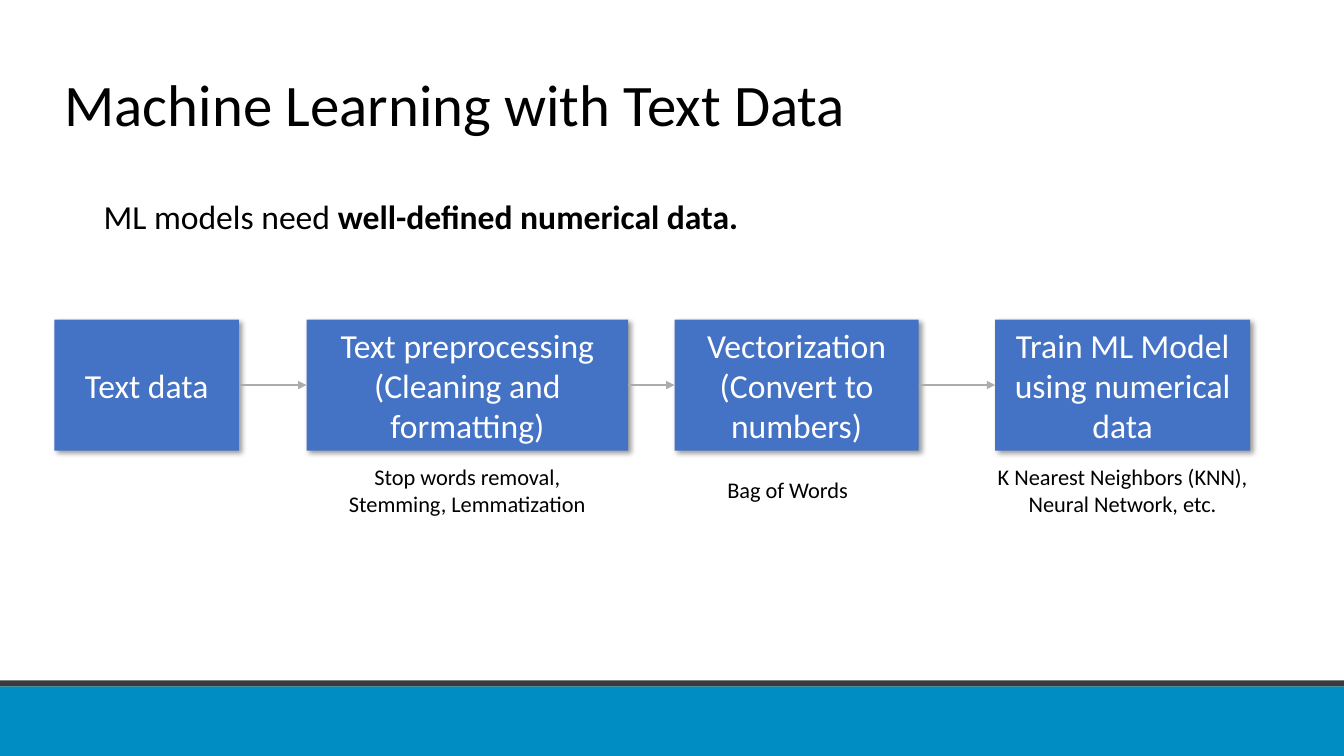
from dataclasses import dataclass
from itertools import pairwise

from lxml import etree
from pptx import Presentation
from pptx import util as u
from pptx.dml.color import RGBColor
from pptx.enum import shapes, text
from pptx.oxml import ns

BLACK = RGBColor(0x00, 0x00, 0x00)
WHITE = RGBColor(0xFF, 0xFF, 0xFF)
BLUE = RGBColor(0x44, 0x72, 0xC4)
GREY = RGBColor(0xAF, 0xAB, 0xAB)
TEAL = RGBColor(0x00, 0x8D, 0xC4)
DARK = RGBColor(0x38, 0x3D, 0x3B)

LEFT = text.PP_ALIGN.LEFT
MID = text.PP_ALIGN.CENTER
WIDE, HIGH = 13.33, 7.5
TOP, TALL = 3.17, 1.3
NOTE_Y = 4.86


@dataclass
class Step:
    left: float
    width: float
    label: str
    note: str = ""
    span: float = 0
    align: text.PP_ALIGN = MID


STEPS = [
    Step(0.54, 1.83, "Text data"),
    Step(3.04, 3.19, "Text preprocessing\n(Cleaning and formatting)",
         "Stop words removal,\nStemming, Lemmatization", 2.9),
    Step(6.69, 2.42, "Vectorization\n(Convert to numbers)",
         "Bag of Words", 1.57, LEFT),
    Step(9.87, 2.53, "Train ML Model using numerical data",
         "K Nearest Neighbors (KNN),\nNeural Network, etc.", 3),
]


def write(shape, words: str, size: float = 24, color: RGBColor = BLACK,
          align: text.PP_ALIGN = LEFT, space: float = 1, bold: str = "",
          anchor: text.MSO_ANCHOR = text.MSO_ANCHOR.MIDDLE) -> None:
    frame = shape.text_frame
    frame.word_wrap = True
    frame.vertical_anchor = anchor
    for i, line in enumerate(words.split("\n")):
        para = frame.add_paragraph() if i else frame.paragraphs[0]
        para.alignment = align
        para.line_spacing = space
        for part, heavy in ((line, False), (bold, True)):
            if part:
                run = para.add_run()
                run.text = part
                font = run.font
                font.name, font.size, font.bold = "Calibri", u.Pt(size), heavy
                font.color.rgb = color


def add_box(slide, left: float, top: float, width: float, height: float,
            fill: RGBColor):
    box = slide.shapes.add_shape(
        shapes.MSO_SHAPE.RECTANGLE, u.Inches(left), u.Inches(top),
        u.Inches(width), u.Inches(height))
    box.fill.solid()
    box.fill.fore_color.rgb = fill
    box.line.fill.background()
    box.shadow.inherit = False
    return box


def add_text(slide, left: float, top: float, width: float, height: float,
             words: str, **form) -> None:
    area = slide.shapes.add_textbox(
        u.Inches(left), u.Inches(top), u.Inches(width), u.Inches(height))
    write(area, words, **form)


def add_shade(box) -> None:
    effect = box._element.spPr.find(ns.qn("a:effectLst"))
    shade = etree.SubElement(
        effect, ns.qn("a:outerShdw"), blurRad=str(u.Pt(4)), dist=str(u.Pt(3)),
        dir="2700000", algn="tl", rotWithShape="0")
    color = etree.SubElement(shade, ns.qn("a:srgbClr"), val=str(BLACK))
    etree.SubElement(color, ns.qn("a:alpha"), val="40000")


def add_step(slide, step: Step):
    box = add_box(slide, step.left, TOP, step.width, TALL, BLUE)
    add_shade(box)
    write(box, step.label, color=WHITE, align=MID)
    if step.note:
        height = 0.1 + 0.27 * len(step.note.split("\n"))
        left = step.left + (step.width - step.span) / 2
        add_text(slide, left, NOTE_Y - height / 2, step.span, height,
                 step.note, size=16, align=step.align)
    return box


def add_arrow(slide, start, end) -> None:
    arrow = slide.shapes.add_connector(
        shapes.MSO_CONNECTOR.STRAIGHT, 0, 0, 0, 0)
    arrow.begin_connect(start, 3)
    arrow.end_connect(end, 1)
    arrow.line.color.rgb = GREY
    arrow.line.width = u.Pt(1.75)
    etree.SubElement(arrow.line._get_or_add_ln(), ns.qn("a:tailEnd"),
                     type="triangle")
    etree.SubElement(arrow._element.spPr, ns.qn("a:effectLst"))


def main() -> None:
    deck = Presentation()
    deck.slide_width, deck.slide_height = u.Inches(WIDE), u.Inches(HIGH)
    slide = deck.slides.add_slide(deck.slide_layouts[5])

    add_box(slide, 0, 6.81, WIDE, 0.69, TEAL)
    add_box(slide, 0, 6.75, WIDE, 0.06, DARK)

    title = slide.shapes.title
    title.left, title.top = u.Inches(0.54), u.Inches(0.52)
    title.width, title.height = u.Inches(11.5), u.Inches(1.09)
    write(title, "Machine Learning with Text Data", size=42, space=0.9)

    add_text(slide, 0.93, 1.94, 11.86, 0.47, "ML models need ",
             bold="well-defined numerical data.", space=0.9,
             anchor=text.MSO_ANCHOR.TOP)

    boxes = [add_step(slide, step) for step in STEPS]
    for start, end in pairwise(boxes):
        add_arrow(slide, start, end)

    deck.save("out.pptx")


if __name__ == "__main__":
    main()
